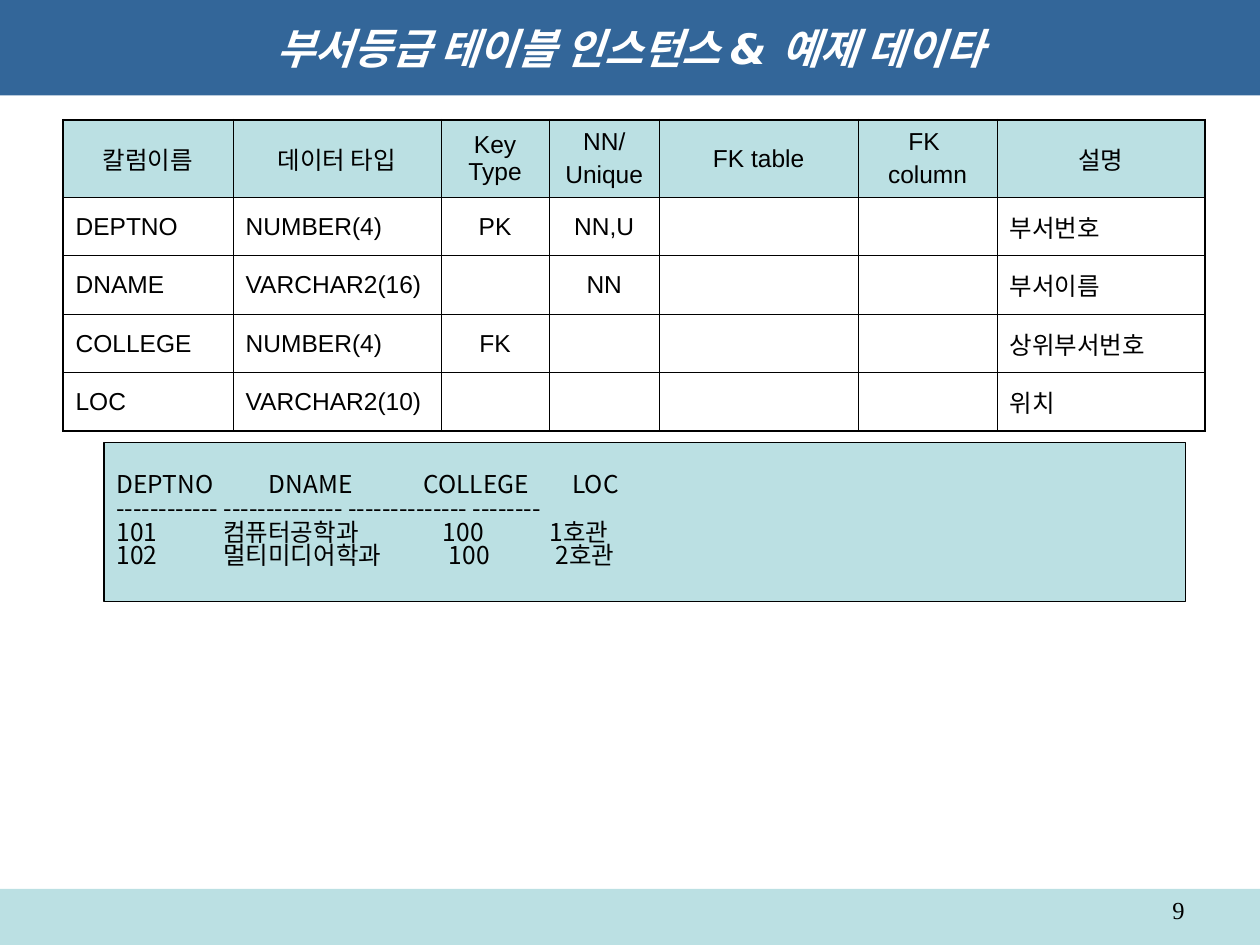
from dataclasses import dataclass

from lxml import etree
from pptx import Presentation
from pptx.dml.color import RGBColor
from pptx.enum.shapes import MSO_SHAPE
from pptx.enum.text import MSO_ANCHOR, PP_ALIGN
from pptx.oxml.ns import qn
from pptx.util import Pt

RECTANGLE = MSO_SHAPE.RECTANGLE
MIDDLE = MSO_ANCHOR.MIDDLE
LEFT, CENTER, RIGHT = PP_ALIGN.LEFT, PP_ALIGN.CENTER, PP_ALIGN.RIGHT

BLACK = RGBColor(0x00, 0x00, 0x00)
WHITE = RGBColor(0xFF, 0xFF, 0xFF)
BLUE = RGBColor(0x33, 0x66, 0x99)
PALE = RGBColor(0xBB, 0xE0, 0xE3)

KOREAN_FONT = "Noto Sans CJK KR"
THIN, THICK = 0.45, 1.08


@dataclass(frozen=True)
class Area:
    left: float
    top: float
    width: float
    height: float

    def lengths(self) -> tuple:
        return Pt(self.left), Pt(self.top), Pt(self.width), Pt(self.height)


@dataclass(frozen=True)
class Style:
    font: str
    size: float = 14
    color: RGBColor = BLACK
    emphasis: bool = False


@dataclass(frozen=True)
class Column:
    width: float
    align: PP_ALIGN
    heading: str
    values: tuple


@dataclass(frozen=True)
class Line:
    text: str
    stops: tuple = ()


TITLE_STYLE = Style("DejaVu Sans", 24, WHITE, True)
TABLE_STYLE = Style("Arial")
DATA_STYLE = Style(KOREAN_FONT)
NUMBER_STYLE = Style("Times New Roman")

COLUMNS = (
    Column(97.2, LEFT, "칼럼이름", ("DEPTNO", "DNAME", "COLLEGE", "LOC")),
    Column(118.8, LEFT, "데이터 타입",
           ("NUMBER(4)", "VARCHAR2(16)", "NUMBER(4)", "VARCHAR2(10)")),
    Column(61.8, CENTER, "Key Type", ("PK", "", "FK", "")),
    Column(63, CENTER, "NN/\nUnique", ("NN,U", "NN", "", "")),
    Column(113.6, CENTER, "FK table", ("", "", "", "")),
    Column(79.4, CENTER, "FK \ncolumn", ("", "", "", "")),
    Column(118.8, LEFT, "설명",
           ("부서번호", "부서이름", "상위부서번호", "위치")),
)
HEADING_HEIGHT, ROW_HEIGHT = 44.4, 33.4

DATA_LINES = (
    Line("DEPTNO\tDNAME\tCOLLEGE\tLOC", (87, 175.5, 260.5)),
    Line("------------ -------------- -------------- --------"),
    Line("101\t컴퓨터공학과\t100\t1호관", (61, 186.5, 247.5)),
    Line("102\t멀티미디어학과\t100\t2호관", (61, 190, 251)),
)


def add_span(para, text: str, style: Style) -> None:
    span = para.add_run()
    span.text = text
    font = span.font
    font.name, font.size = style.font, Pt(style.size)
    font.bold = font.italic = style.emphasis
    font.color.rgb = style.color
    latin = font._element.find(qn("a:latin"))
    east_asian = etree.Element(qn("a:ea"), typeface=KOREAN_FONT)
    latin.addnext(east_asian)


def add_paragraph(frame, index: int):
    """Return the frame's first paragraph for index 0, else a new one."""
    return frame.paragraphs[0] if index == 0 else frame.add_paragraph()


def set_tab_stops(para, stops: tuple) -> None:
    tabs = etree.SubElement(para._p.get_or_add_pPr(), qn("a:tabLst"))
    for stop in stops:
        etree.SubElement(tabs, qn("a:tab"), pos=str(Pt(stop)), algn="l")


def add_box(page, area: Area, fill: RGBColor, outlined: bool = False):
    box = page.shapes.add_shape(RECTANGLE, *area.lengths())
    box.shadow.inherit = False
    box.fill.solid()
    box.fill.fore_color.rgb = fill
    if outlined:
        box.line.color.rgb = BLACK
        box.line.width = Pt(0.75)
    else:
        box.line.fill.background()
    box.text_frame.word_wrap = True
    box.text_frame.vertical_anchor = MIDDLE
    return box


def set_borders(cell, widths: dict) -> None:
    properties = cell._tc.get_or_add_tcPr()
    for side, width in widths.items():
        border = etree.SubElement(properties, qn(f"a:ln{side}"), w=str(Pt(width)))
        fill = etree.SubElement(border, qn("a:solidFill"))
        etree.SubElement(fill, qn("a:srgbClr"), val=str(BLACK))


def fill_cell(cell, text: str, align: PP_ALIGN) -> None:
    cell.vertical_anchor = MIDDLE
    if not text:
        return
    for index, part in enumerate(text.split("\n")):
        para = add_paragraph(cell.text_frame, index)
        para.alignment = align
        para.space_before = Pt(3.5)
        add_span(para, part, TABLE_STYLE)


def add_column_table(page, left: float, top: float) -> None:
    row_count = 1 + len(COLUMNS[0].values)
    width = sum(column.width for column in COLUMNS)
    height = HEADING_HEIGHT + (row_count - 1) * ROW_HEIGHT
    area = Area(left, top, width, height)
    table = page.shapes.add_table(row_count, len(COLUMNS), *area.lengths()).table
    table.first_row = table.horz_banding = False
    for y, row in enumerate(table.rows):
        row.height = Pt(ROW_HEIGHT if y else HEADING_HEIGHT)
    for x, column in enumerate(COLUMNS):
        table.columns[x].width = Pt(column.width)
        for y, text in enumerate((column.heading, *column.values)):
            cell = table.cell(y, x)
            set_borders(cell, {
                "L": THICK if x == 0 else THIN,
                "R": THICK if x == len(COLUMNS) - 1 else THIN,
                "T": THICK if y == 0 else THIN,
                "B": THICK if y == row_count - 1 else THIN,
            })
            if y == 0:
                cell.fill.solid()
                cell.fill.fore_color.rgb = PALE
            else:
                cell.fill.background()
            fill_cell(cell, text, column.align if y else CENTER)


def add_sample_data(page, area: Area) -> None:
    frame = add_box(page, area, PALE, outlined=True).text_frame
    for index, line in enumerate(DATA_LINES):
        para = add_paragraph(frame, index)
        para.alignment = LEFT
        para.line_spacing = 0.81
        if line.stops:
            set_tab_stops(para, line.stops)
        add_span(para, line.text, DATA_STYLE)


def main() -> None:
    deck = Presentation()
    deck.slide_width, deck.slide_height = Pt(720), Pt(540)
    page = deck.slides.add_slide(deck.slide_layouts[6])

    add_box(page, Area(0, 508, 720, 32), PALE)
    title = add_box(page, Area(0, 0, 720, 54.6), BLUE).text_frame.paragraphs[0]
    title.alignment = CENTER
    add_span(title, "부서등급 테이블 인스턴스 & 예제 데이타", TITLE_STYLE)

    add_column_table(page, 36, 68.4)
    add_sample_data(page, Area(59.5, 252.9, 618, 90.8))

    number_box = page.shapes.add_textbox(*Area(516, 508, 168, 21).lengths())
    number_box.text_frame.word_wrap = True
    number = number_box.text_frame.paragraphs[0]
    number.alignment = RIGHT
    add_span(number, "9", NUMBER_STYLE)

    deck.save("out.pptx")


if __name__ == "__main__":
    main()
